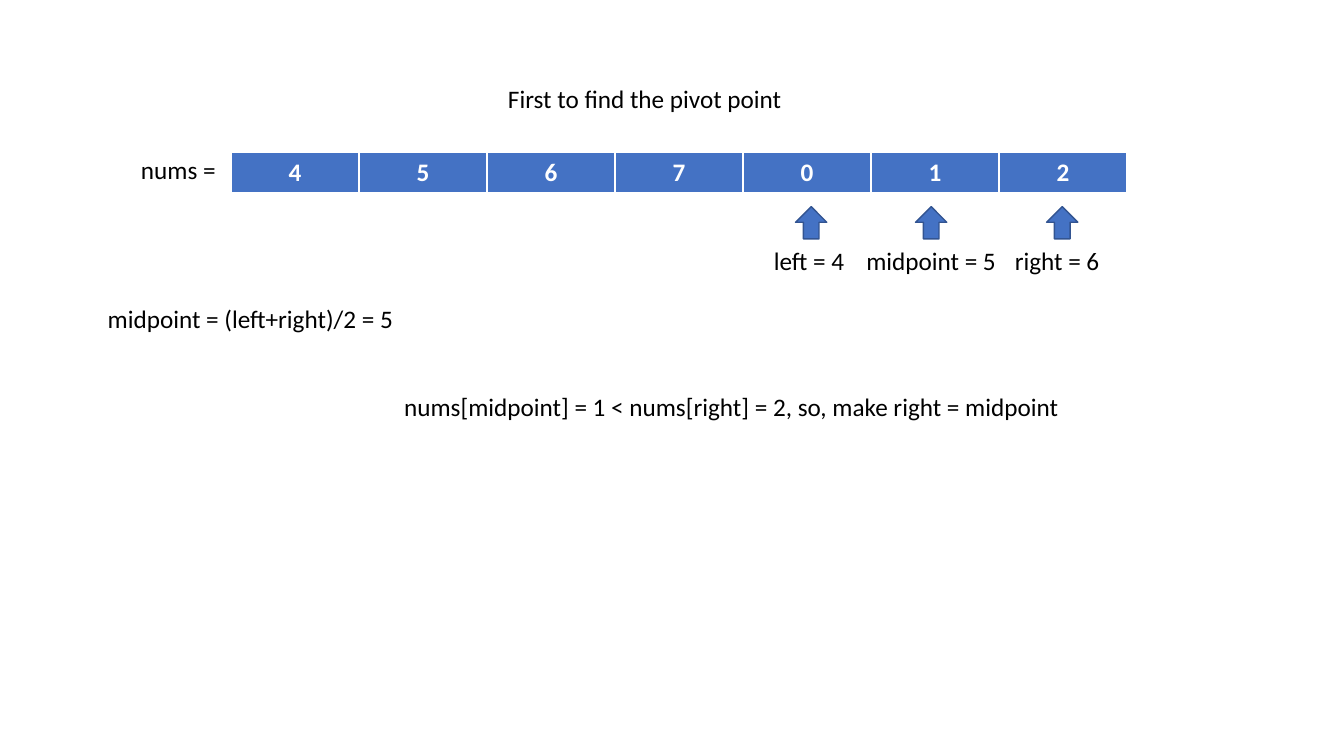
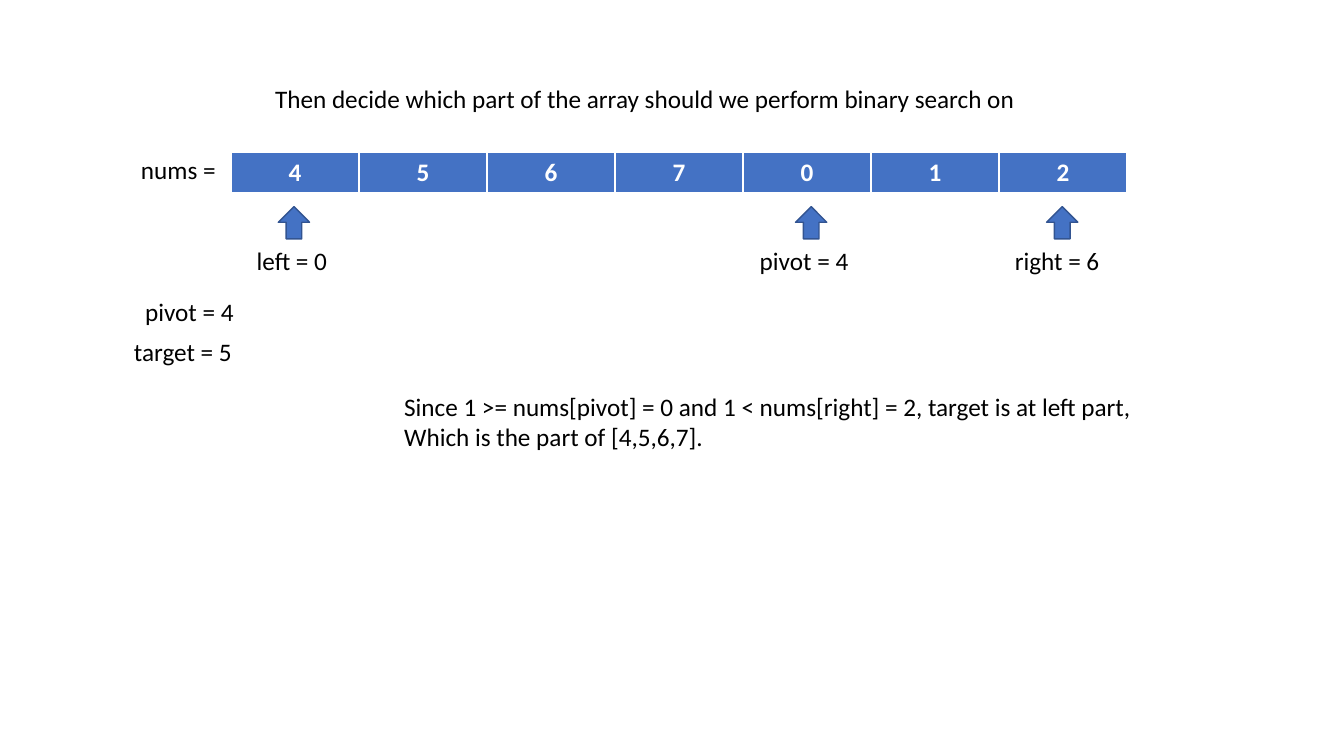
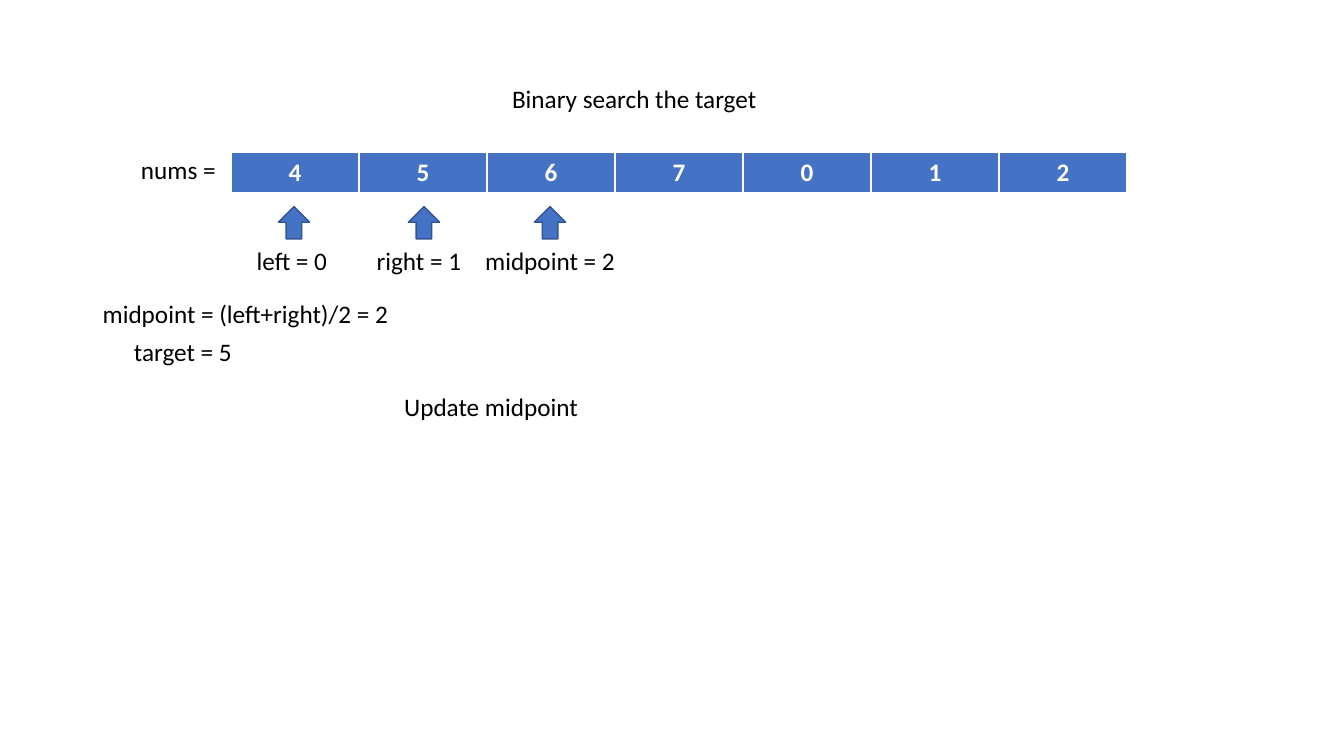
import dataclasses

import lxml.etree
import pptx
import pptx.dml.color
import pptx.enum.shapes
import pptx.enum.text
import pptx.oxml
import pptx.oxml.ns
import pptx.util

Inches = pptx.util.Inches
Pt = pptx.util.Pt
RGB = pptx.dml.color.RGBColor.from_string
ALIGN = pptx.enum.text.PP_ALIGN


@dataclasses.dataclass(frozen=True)
class Theme:
    font: str = "Calibri"
    size: int = 18
    text: str = "000000"
    accent: str = "4472C4"
    outline: str = "325491"
    light: str = "FFFFFF"
    line: int = 1
    bottom_line: int = 3


THEME = Theme()
NUMS = ["4", "5", "6", "7", "0", "1", "2"]
ARRAY_BOX = (2.29, 1.51, 8.89, 0.41)
ARROW_SIZE = (0.31, 0.32)
ARROW_GAP = 0.13
LABEL_SIZE = (1.5, 0.4)
COLUMN_NUDGE = {0: -0.01, 1: 0.01, 2: -0.01, 4: 0.04, 5: -0.04, 6: -0.01}
LABEL_NUDGE = {"left": -0.02, "pivot": -0.07, "right": -0.05}


def style(p, color=THEME.text, bold=False, align=ALIGN.LEFT):
    p.alignment = align
    p.font.name = THEME.font
    p.font.size = Pt(THEME.size)
    p.font.bold = bold
    p.font.color.rgb = RGB(color)


def add_text(shapes, text, box, align=ALIGN.LEFT):
    tf = shapes.add_textbox(*map(Inches, box)).text_frame
    tf.word_wrap = True
    tf.auto_size = pptx.enum.text.MSO_AUTO_SIZE.SHAPE_TO_FIT_TEXT
    tf.text = text
    for p in tf.paragraphs:
        style(p, align=align)


def set_borders(cell):
    tc_pr = cell._tc.get_or_add_tcPr()
    for i, side in enumerate("LRTB"):
        width = THEME.bottom_line if side == "B" else THEME.line
        border = pptx.oxml.parse_xml(
            f'<a:ln{side} {pptx.oxml.ns.nsdecls("a")} w="{Pt(width)}">'
            f'<a:solidFill><a:srgbClr val="{THEME.light}"/></a:solidFill>'
            f'</a:ln{side}>')
        tc_pr.insert(i, border)


def add_array(s, box):
    table = s.shapes.add_table(1, len(NUMS), *map(Inches, box)).table
    for column, cell, num in zip(table.columns, table.rows[0].cells, NUMS):
        column.width = Inches(box[2] / len(NUMS))
        cell.text = num
        cell.fill.solid()
        cell.fill.fore_color.rgb = RGB(THEME.accent)
        style(cell.text_frame.paragraphs[0], THEME.light, True, ALIGN.CENTER)
        set_borders(cell)
    add_text(s.shapes, "nums =", (box[0] - 0.99, box[1] - 0.03, 1.45, 0.4))


def add_pointer(s, name, index, box):
    left, top, width, height = box
    center = left + width / len(NUMS) * (index + 0.5) + COLUMN_NUDGE.get(index, 0)
    arrow_w, arrow_h = ARROW_SIZE
    arrow_top = top + height + ARROW_GAP
    shapes = s.shapes.add_group_shape().shapes
    arrow = shapes.add_shape(
        pptx.enum.shapes.MSO_SHAPE.DOWN_ARROW,
        *map(Inches, (center - arrow_w / 2, arrow_top, arrow_w, arrow_h)))
    arrow.rotation = 180
    arrow.shadow.inherit = False
    arrow.fill.solid()
    arrow.fill.fore_color.rgb = RGB(THEME.accent)
    arrow.line.color.rgb = RGB(THEME.outline)
    arrow.line.width = Pt(THEME.line)
    label_left = center - LABEL_SIZE[0] / 2 + LABEL_NUDGE.get(name, 0)
    add_text(shapes, f"{name} = {index}",
             (label_left, arrow_top + arrow_h + 0.01, *LABEL_SIZE), ALIGN.CENTER)


def add_step(prs, title, title_box, pointers, facts, conclusion):
    s = prs.slides.add_slide(prs.slide_layouts[6])
    add_array(s, ARRAY_BOX)
    add_text(s.shapes, title, title_box)
    for name, index in pointers.items():
        add_pointer(s, name, index, ARRAY_BOX)
    for text, box in facts:
        add_text(s.shapes, text, box)
    lines = conclusion.count("\n") + 1
    add_text(s.shapes, conclusion, (3.91, 3.83, 7.55, 0.1 + 0.3 * lines))


prs = pptx.Presentation()
prs.slide_width, prs.slide_height = Inches(13.33), Inches(7.5)
target = ("target = 5", (1.23, 3.29, 1.19, 0.4))

add_step(prs, "First to find the pivot point", (4.94, 0.78, 5.5, 0.4),
         {"left": 4, "right": 6, "midpoint": 5},
         [("midpoint = (left+right)/2 = 5", (0.97, 2.96, 3.47, 0.4))],
         "nums[midpoint] = 1 < nums[right] = 2, so, make right = midpoint")

add_step(prs, "Then decide which part of the array should we perform binary search on",
         (2.63, 0.78, 7.81, 0.4),
         {"pivot": 4, "left": 0, "right": 6},
         [("pivot = 4", (1.34, 2.89, 1.19, 0.4)), target],
         "Since 1 >= nums[pivot] = 0 and 1 < nums[right] = 2, target is at left part,\n"
         "Which is the part of [4,5,6,7].")

add_step(prs, "Binary search the target", (4.98, 0.78, 2.68, 0.4),
         {"left": 0, "right": 1, "midpoint": 2},
         [("midpoint = (left+right)/2 = 2", (0.92, 2.91, 3.47, 0.4)), target],
         "Update midpoint")

prs.save("out.pptx")
